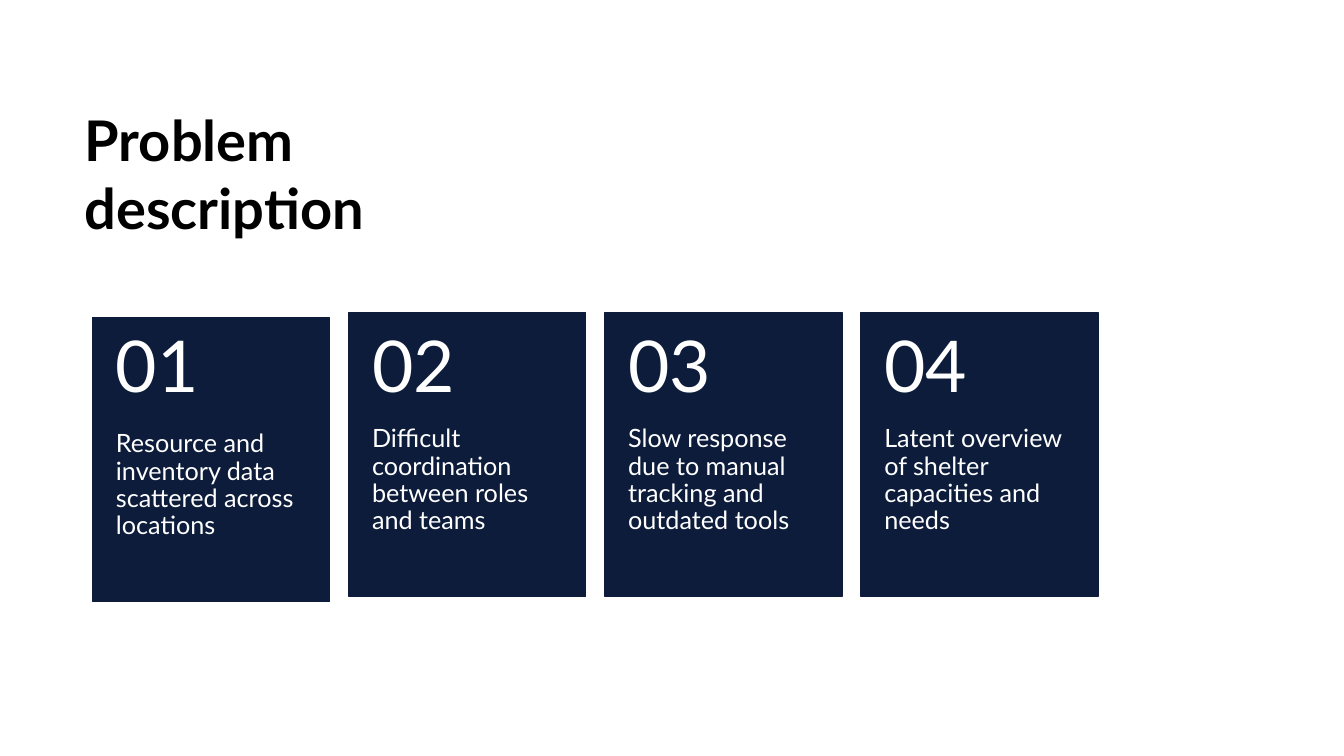
from pptx import Presentation
from pptx.dml.color import RGBColor
from pptx.enum.shapes import MSO_SHAPE
from pptx.enum.text import MSO_ANCHOR, MSO_AUTO_SIZE, PP_ALIGN
from pptx.util import Inches, Pt

TITLE = "Problem description"
PROBLEMS = [
    "Resource and inventory data scattered across locations",
    "Difficult coordination between roles and teams",
    "Slow response due to manual tracking and outdated tools",
    "Latent overview of shelter capacities and needs",
]

NAVY = RGBColor(0x0D, 0x1C, 0x3B)
WHITE = RGBColor(0xFF, 0xFF, 0xFF)
BLACK = RGBColor(0x00, 0x00, 0x00)
FONT = "Lato"

LEFT, TOP, PITCH = 0.92, 3.1, 2.54
CARD_W, CARD_H = 2.35, 2.82
NUMBER_H, BODY_H = CARD_H * 0.4, CARD_H * 0.6
FIRST_DROP = 0.05
PAD = 0.23


def style(p, size, color, bold=False):
    p.alignment = PP_ALIGN.LEFT
    p.font.name = FONT
    p.font.size = Pt(size)
    p.font.bold = bold
    p.font.color.rgb = color


def add_text(shapes, text, x, y, h, size, anchor, pad_top, pad_bottom):
    sp = shapes.add_textbox(Inches(x), Inches(y), Inches(CARD_W), Inches(h))
    tf = sp.text_frame
    tf.word_wrap = True
    tf.vertical_anchor = anchor
    tf.margin_left = tf.margin_right = Inches(PAD)
    tf.margin_top, tf.margin_bottom = Inches(pad_top), Inches(pad_bottom)
    p = tf.paragraphs[0]
    p.text = text
    p.line_spacing = 0.9
    style(p, size, WHITE)


def add_card(shapes, i, problem):
    x = LEFT + i * PITCH
    y = TOP + (FIRST_DROP if i == 0 else 0)
    sp = shapes.add_shape(MSO_SHAPE.RECTANGLE, Inches(x), Inches(y),
                          Inches(CARD_W), Inches(CARD_H))
    sp.shadow.inherit = False
    sp.fill.solid()
    sp.fill.fore_color.rgb = NAVY
    sp.line.color.rgb = NAVY
    sp.line.width = Pt(1)
    add_text(shapes, problem, x, y + NUMBER_H, BODY_H, 18, MSO_ANCHOR.TOP, 0, 0.36)
    add_text(shapes, f"{i + 1:02}", x, TOP, NUMBER_H, 51, MSO_ANCHOR.MIDDLE, 0.18, 0.18)


def main():
    prs = Presentation()
    prs.slide_width, prs.slide_height = Inches(13.33), Inches(7.5)
    slide = prs.slides.add_slide(prs.slide_layouts[5])

    title = slide.shapes.title
    title.left, title.top = Inches(0.74), Inches(1)
    title.width, title.height = Inches(4.02), Inches(4.55)
    tf = title.text_frame
    tf.text = TITLE
    tf.word_wrap = True
    tf.auto_size = MSO_AUTO_SIZE.NONE
    tf.vertical_anchor = MSO_ANCHOR.TOP
    style(tf.paragraphs[0], 40, BLACK, bold=True)

    for i, problem in enumerate(PROBLEMS):
        card = slide.shapes.add_group_shape()
        add_card(card.shapes, i, problem)

    prs.save("out.pptx")


if __name__ == "__main__":
    main()
